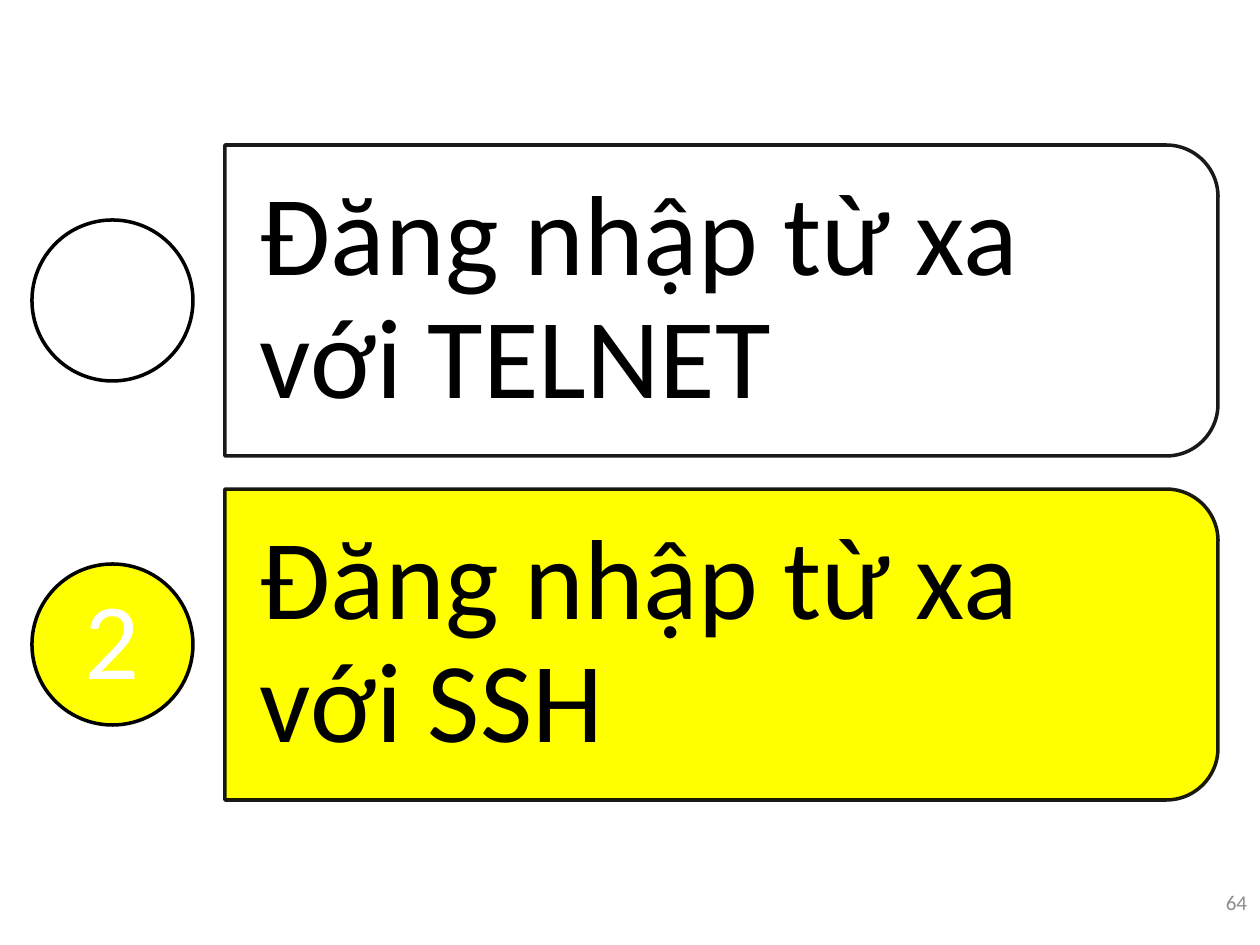
from dataclasses import dataclass

from lxml import etree
from pptx import Presentation
from pptx import util as u
from pptx.dml.color import RGBColor
from pptx.enum import shapes, text
from pptx.oxml.ns import qn

PX_PER_INCH = 126
FONT = "Calibri"
COLOURS = {"white": "FFFFFF", "yellow": "FFFF00", "black": "000000", "grey": "8C8C8C"}
FIRST_CENTRE, ROW_PITCH = 300, 344
PANEL_CENTRE, PANEL_WIDTH, PANEL_HEIGHT = 721, 993, 311
TITLE_LEFT, TITLE_WIDTH, TITLE_HEIGHT = 226, 978, 281
CIRCLE_LEFT, CIRCLE_SIZE = 32, 161


@dataclass(frozen=True)
class Topic:
    title: str
    number: str
    fill: str
    panel_opacity: int


TOPICS = [
    Topic("Đăng nhập từ xa với TELNET", "", "white", 90),
    Topic("Đăng nhập từ xa với SSH", "2", "yellow", 100),
]


def px(length: int) -> u.Emu:
    return u.Emu(round(length * u.Inches(1) / PX_PER_INCH))


def colour(name: str) -> RGBColor:
    return RGBColor.from_string(COLOURS[name])


def set_opacity(fill_owner, percent: int) -> None:
    """Make the solid fill below a shape's or line's properties translucent."""
    rgb = fill_owner.find(qn("a:solidFill")).find(qn("a:srgbClr"))
    etree.SubElement(rgb, qn("a:alpha")).set("val", str(percent * 1000))


def add_outlined(slide, kind, left: int, top: int, width: int, height: int, fill: str):
    shape = slide.shapes.add_shape(kind, px(left), px(top), px(width), px(height))
    shape.shadow.inherit = False
    shape.fill.solid()
    shape.fill.fore_color.rgb = colour(fill)
    shape.line.color.rgb = colour("black")
    shape.line.width = u.Pt(2)
    return shape


def write(shape, words: str, size: int, font_colour: str, align,
          inset_x: int, inset_y: int, spacing: float = 1.0) -> None:
    frame = shape.text_frame
    frame.word_wrap = True
    frame.vertical_anchor = text.MSO_ANCHOR.MIDDLE
    frame.margin_left = frame.margin_right = px(inset_x)
    frame.margin_top = frame.margin_bottom = px(inset_y)
    paragraph = frame.paragraphs[0]
    paragraph.text = words
    paragraph.alignment = align
    paragraph.line_spacing = spacing
    paragraph.font.name = FONT
    paragraph.font.size = u.Pt(size)
    paragraph.font.color.rgb = colour(font_colour)


def add_textbox(slide, left: int, top: int, width: int, height: int):
    return slide.shapes.add_textbox(px(left), px(top), px(width), px(height))


def add_topic(slide, topic: Topic, centre: int) -> None:
    # The panel is a quarter turn of a shape with two rounded top corners.
    panel = add_outlined(
        slide, shapes.MSO_SHAPE.ROUND_2_SAME_RECTANGLE,
        PANEL_CENTRE - PANEL_HEIGHT // 2, centre - PANEL_WIDTH // 2,
        PANEL_HEIGHT, PANEL_WIDTH, topic.fill)
    panel.rotation = 90
    set_opacity(panel.line._get_or_add_ln(), 90)
    if topic.panel_opacity < 100:
        set_opacity(panel._element.spPr, topic.panel_opacity)

    title = add_textbox(slide, TITLE_LEFT, centre - TITLE_HEIGHT // 2,
                        TITLE_WIDTH, TITLE_HEIGHT)
    write(title, topic.title, 65, "black", text.PP_ALIGN.LEFT, 34, 23, 0.9)

    circle = add_outlined(slide, shapes.MSO_SHAPE.OVAL, CIRCLE_LEFT,
                          centre - CIRCLE_SIZE // 2, CIRCLE_SIZE, CIRCLE_SIZE, topic.fill)
    if topic.number:
        write(circle, topic.number, 62, "white", text.PP_ALIGN.CENTER, 0, 0, 0.9)


def main() -> None:
    presentation = Presentation()
    presentation.slide_width, presentation.slide_height = px(1260), px(945)
    slide = presentation.slides.add_slide(presentation.slide_layouts[6])
    for row, topic in enumerate(TOPICS):
        add_topic(slide, topic, FIRST_CENTRE + row * ROW_PITCH)
    page_number = add_textbox(slide, 1176, 859, 84, 86)
    write(page_number, "64", 12, "grey", text.PP_ALIGN.RIGHT, 13, 6)
    presentation.save("out.pptx")


if __name__ == "__main__":
    main()
